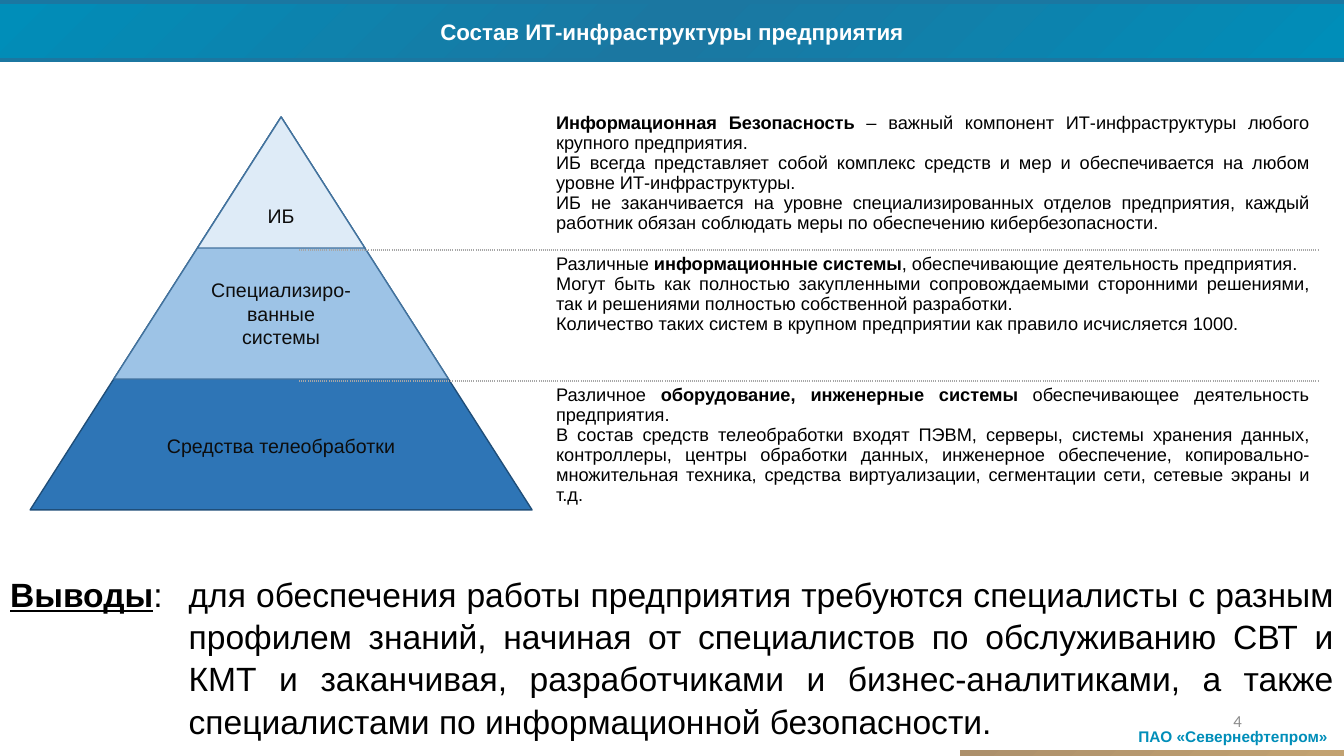
from dataclasses import dataclass
from typing import NamedTuple

from lxml import etree
from pptx import Presentation
from pptx.dml.color import RGBColor
from pptx.enum.shapes import MSO_CONNECTOR, MSO_SHAPE
from pptx.enum.text import MSO_ANCHOR, MSO_AUTO_SIZE, PP_ALIGN
from pptx.oxml.ns import qn
from pptx.util import Cm, Pt

STRAIGHT = MSO_CONNECTOR.STRAIGHT
RECTANGLE, TRIANGLE = MSO_SHAPE.RECTANGLE, MSO_SHAPE.ISOSCELES_TRIANGLE
MIDDLE, TOP = MSO_ANCHOR.MIDDLE, MSO_ANCHOR.TOP
CENTER, RIGHT, JUSTIFY = PP_ALIGN.CENTER, PP_ALIGN.RIGHT, PP_ALIGN.JUSTIFY
NO_AUTOFIT = MSO_AUTO_SIZE.NONE
PLAIN_TABLE_STYLE = "{2D5ABB26-0587-4C30-8999-92F81FD0307C}"


@dataclass(frozen=True)
class Theme:
    font: str = "Arial"
    number_font: str = "Calibri"
    white: str = "FFFFFF"
    black: str = "000000"
    label: str = "0D0D0D"
    number: str = "8C8C8C"
    accent: str = "008EB9"
    accent_dark: str = "1B77A1"
    sand: tuple = ("AD906B", "C2A271")
    divider: str = "A6A6A6"
    title_size: int = 16
    label_size: int = 14
    table_size: int = 13
    conclusion_size: int = 24
    company_size: int = 11
    number_size: int = 12


class Box(NamedTuple):
    """A region, in centimetres."""
    left: float
    top: float
    width: float
    height: float

    def lengths(self):
        return [Cm(value) for value in self]


THEME = Theme()

# Label, share of the full pyramid, fill, line, top inset of the label
LEVELS = [
    ("Средства телеобработки", 1, "2E75B6", "1F4E79", 1.83),
    ("Специализиро-ванные системы", 2 / 3, "9DC3E6", "43739E", 0.13),
    ("ИБ", 1 / 3, "DEEBF7", "43739E", 0.13),
]

# Row height and paragraphs; each paragraph is a list of (text, bold) runs
DESCRIPTIONS = [
    (3.56, [
        [("Информационная Безопасность ", True),
         ("– важный компонент ИТ-инфраструктуры любого крупного предприятия. ", False)],
        [("ИБ всегда представляет собой комплекс средств и мер и обеспечивается "
          "на любом уровне ИТ-инфраструктуры.", False)],
        [("ИБ не заканчивается на уровне специализированных отделов предприятия, каждый "
          "работник обязан соблюдать меры по обеспечению кибербезопасности.", False)],
    ]),
    (3.3, [
        [("Различные ", False), ("информационные системы", True),
         (", обеспечивающие деятельность предприятия.", False)],
        [("Могут быть как полностью закупленными сопровождаемыми сторонними решениями, "
          "так и решениями полностью собственной разработки.", False)],
        [("Количество таких систем в крупном предприятии как правило "
          "исчисляется 1000.", False)],
    ]),
    (3.96, [
        [("Различное ", False), ("оборудование, инженерные системы ", True),
         ("обеспечивающее деятельность предприятия.", False)],
        [("В состав средств телеобработки входят ПЭВМ, серверы, системы хранения данных, "
          "контроллеры, центры обработки данных, инженерное обеспечение, "
          "копировально-множительная техника, средства виртуализации, сегментации сети, "
          "сетевые экраны и т.д.", False)],
    ]),
]

CONCLUSION = (
    ":\tдля обеспечения работы предприятия требуются специалисты с разным профилем знаний, "
    "начиная от специалистов по обслуживанию СВТ и КМТ и заканчивая, разработчиками и "
    "бизнес-аналитиками, а также специалистами по информационной безопасности.")


def add_run(para, text, size, color, name=THEME.font, **formats):
    run = para.add_run()
    run.text = text
    for key, value in {"name": name, "size": Pt(size), **formats}.items():
        setattr(run.font, key, value)
    run.font.color.rgb = RGBColor.from_string(color)


def set_frame(frame, **formats):
    defaults = {"word_wrap": True, "auto_size": NO_AUTOFIT, "vertical_anchor": MIDDLE}
    for key, value in {**defaults, **formats}.items():
        setattr(frame, key, value)


def set_indent(para, left, first=0):
    properties = para._p.get_or_add_pPr()
    properties.set("marL", str(Cm(left)))
    properties.set("indent", str(Cm(first)))
    return properties


def fill_gradient(shape, colors):
    """Spread the colours evenly along a 45 degree gradient."""
    shape.fill.gradient()
    shape.fill.gradient_angle = 315
    stops = shape._element.spPr.find(".//" + qn("a:gsLst"))
    for stop in list(stops):
        stops.remove(stop)
    for index, color in enumerate(colors):
        position = round(100000 * index / (len(colors) - 1))
        stop = etree.SubElement(stops, qn("a:gs"), pos=str(position))
        etree.SubElement(stop, qn("a:srgbClr"), val=color)


def place(shape, box):
    for key, value in zip(("left", "top", "width", "height"), box.lengths()):
        setattr(shape, key, value)


def add_text(page, box, text, align, anchor, *style, **formats):
    shape = page.shapes.add_textbox(*box.lengths())
    set_frame(shape.text_frame, vertical_anchor=anchor)
    para = shape.text_frame.paragraphs[0]
    para.alignment = align
    add_run(para, text, *style, **formats)


def build_header(page, box):
    title = page.shapes.title
    place(title, box)
    fill_gradient(title, (THEME.accent, THEME.accent_dark, THEME.accent))
    set_frame(title.text_frame)
    para = title.text_frame.paragraphs[0]
    para.alignment = CENTER
    add_run(para, "Состав ИТ-инфраструктуры предприятия",
            THEME.title_size, THEME.white, bold=True)
    for height in (box.top, box.top + box.height):
        edge = page.shapes.add_connector(
            STRAIGHT, Cm(box.left), Cm(height), Cm(box.left + box.width), Cm(height))
        edge.line.color.rgb = RGBColor.from_string(THEME.accent_dark)
        edge.line.width = Pt(3)
        etree.SubElement(edge._element.spPr, qn("a:effectLst"))


def build_pyramid(page, box):
    """Stack triangles that share one apex, the largest at the back."""
    for label, share, fill, line, inset in LEVELS:
        width = box.width * share
        level = Box(box.left + (box.width - width) / 2, box.top, width, box.height * share)
        shape = page.shapes.add_shape(TRIANGLE, *level.lengths())
        shape.shadow.inherit = False
        shape.fill.solid()
        shape.fill.fore_color.rgb = RGBColor.from_string(fill)
        shape.line.color.rgb = RGBColor.from_string(line)
        shape.line.width = Pt(1)
        set_frame(shape.text_frame, margin_top=Cm(inset))
        para = shape.text_frame.paragraphs[0]
        para.alignment = CENTER
        add_run(para, label, THEME.label_size, THEME.label)


def add_divider(cell, side):
    line = etree.Element(qn(side), w=str(Pt(1)))
    fill = etree.SubElement(line, qn("a:solidFill"))
    etree.SubElement(fill, qn("a:srgbClr"), val=THEME.divider)
    etree.SubElement(line, qn("a:prstDash"), val="sysDot")
    return cell._tc.get_or_add_tcPr().append(line)


def build_descriptions(page, box):
    table = page.shapes.add_table(len(DESCRIPTIONS), 1, *box.lengths()).table
    table.first_row = table.horz_banding = False
    table._tbl.tblPr.find(qn("a:tableStyleId")).text = PLAIN_TABLE_STYLE
    for index, (height, paragraphs) in enumerate(DESCRIPTIONS):
        table.rows[index].height = Cm(height)
        cell = table.cell(index, 0)
        cell.vertical_anchor = TOP
        if index > 0:
            add_divider(cell, "a:lnT")
        if index < len(DESCRIPTIONS) - 1:
            add_divider(cell, "a:lnB")
        cell.fill.background()
        for number, runs in enumerate(paragraphs):
            para = cell.text_frame.add_paragraph() if number else cell.text_frame.paragraphs[0]
            para.alignment = JUSTIFY
            para.line_spacing = 0.98
            set_indent(para, 6.22)
            for text, bold in runs:
                add_run(para, text, THEME.table_size, THEME.black, bold=bold)


def build_conclusion(page, box):
    body = page.placeholders[1]
    place(body, box)
    set_frame(body.text_frame)
    para = body.text_frame.paragraphs[0]
    etree.SubElement(set_indent(para, 4.5, -4.5), qn("a:buNone"))
    for key, value in {"alignment": JUSTIFY, "line_spacing": 1.05, "space_before": Pt(0)}.items():
        setattr(para, key, value)
    add_run(para, "Выводы", THEME.conclusion_size, THEME.black, bold=True, underline=True)
    add_run(para, CONCLUSION, THEME.conclusion_size, THEME.black)


def build_footer(page, box):
    right = box.left + box.width
    add_text(page, Box(right - 5.59, box.top + 0.56, 5.59, 0.74), "ПАО «Севернефтепром»",
             CENTER, TOP, THEME.company_size, THEME.accent, bold=True)
    strip = page.shapes.add_shape(
        RECTANGLE, *Box(right - 9.67, box.top + box.height - 0.15, 9.67, 0.15).lengths())
    strip.shadow.inherit = False
    strip.line.fill.background()
    fill_gradient(strip, THEME.sand)
    add_text(page, Box(box.left, box.top, 7.62, 1.02), "4",
             RIGHT, MIDDLE, THEME.number_size, THEME.number, THEME.number_font)


def main():
    deck = Presentation()
    deck.slide_width, deck.slide_height = Cm(33.87), Cm(19.05)
    page = deck.slides.add_slide(deck.slide_layouts[1])
    build_header(page, Box(0, 0.05, 33.87, 1.47))
    build_pyramid(page, Box(0.76, 2.95, 12.65, 9.9))
    build_descriptions(page, Box(7.54, 2.74, 25.7, 10.82))
    build_conclusion(page, Box(0, 14.35, 33.87, 4.37))
    build_footer(page, Box(23.93, 17.65, 9.94, 1.4))
    deck.save("out.pptx")


if __name__ == "__main__":
    main()
